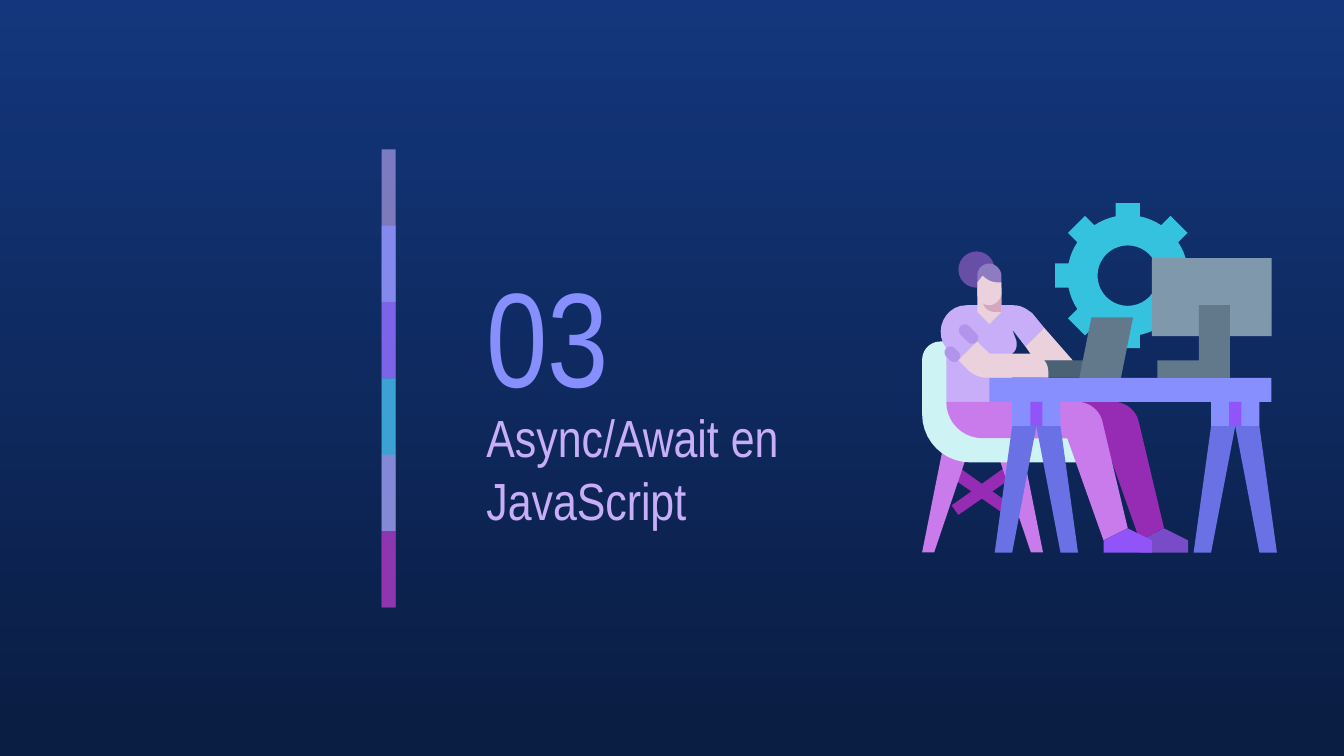
from dataclasses import dataclass
from math import cos, sin, pi

from lxml.etree import SubElement
from pptx import Presentation
from pptx.dml.color import RGBColor as Rgb
from pptx.enum.shapes import MSO_SHAPE as Kind
from pptx.enum.text import MSO_ANCHOR as Anchor, MSO_AUTO_SIZE as Fit, PP_ALIGN as Align
from pptx.oxml.ns import qn
from pptx.util import Pt


@dataclass(frozen=True)
class Theme:
    """Colours, font and type sizes of the deck."""
    top: str = "13367C"
    base: str = "0A1D42"
    font: str = "Arial Narrow"
    big: int = 72
    head: int = 28
    lilac: str = "C8AEF8"
    blue: str = "878FFF"
    indigo: str = "6971E5"
    violet: str = "9154F8"
    cyan: str = "35C2DF"
    pink: str = "CA7BEB"
    plum: str = "972CB4"
    grape: str = "794BC8"
    mauve: str = "B394EB"
    ice: str = "CEF3F5"
    skin: str = "EAD1DC"
    blush: str = "D5A6BD"
    hair: str = "8E7CC3"
    bun: str = "674EA7"
    slate: str = "62798C"
    steel: str = "8098AB"
    dark: str = "4B6275"


T = Theme()


def paint(shape, color, alpha=None):
    """Give a shape a flat fill without line or shadow."""
    shape.shadow.inherit = False
    shape.line.fill.background()
    shape.fill.solid()
    shape.fill.fore_color.rgb = Rgb.from_string(color)
    if alpha:
        tone = shape._element.spPr.find(qn("a:solidFill"))[0]
        SubElement(tone, qn("a:alpha")).set("val", str(alpha * 1000))
    return shape


def bend(start, curve, steps=10):
    """Return points along a cubic curve given as six numbers."""
    knots = [start, curve[:2], curve[2:4], curve[4:]]
    points = []
    for i in range(1, steps + 1):
        t = i / steps
        parts = ((1 - t) ** 3, 3 * t * (1 - t) ** 2, 3 * t * t * (1 - t), t ** 3)
        points.append(tuple(sum(w * k[a] for w, k in zip(parts, knots)) for a in (0, 1)))
    return points


def ring(x, y, radius, start, end, steps):
    """Return points along an arc around a centre."""
    turns = [start + (end - start) * i / steps for i in range(steps + 1)]
    return [(x + radius * cos(a), y + radius * sin(a)) for a in turns]


class Scene:
    """Draw flat parts on a grid within a box."""

    def __init__(self, shapes, left, top, unit):
        """Keep the box corner and the grid unit, in points."""
        self.shapes, self.left, self.top, self.unit = shapes, left, top, unit

    def spot(self, x, y):
        """Return the slide position of a grid point."""
        return Pt(self.left + x * self.unit), Pt(self.top + y * self.unit)

    def block(self, color, x, y, wide, high, kind=Kind.RECTANGLE):
        """Draw a preset shape."""
        size = Pt(wide * self.unit), Pt(high * self.unit)
        return paint(self.shapes.add_shape(kind, *self.spot(x, y), *size), color)

    def trace(self, color, *loops):
        """Draw closed loops whose parts are points or curves."""
        pen = None
        for loop in loops:
            points = [loop[0]]
            for part in loop[1:]:
                points += [part] if len(part) == 2 else bend(points[-1], part)
            spots = [self.spot(*p) for p in points]
            if pen:
                pen.move_to(*spots[0])
            else:
                pen = self.shapes.build_freeform(*spots[0], scale=1.0)
            pen.add_line_segments(spots[1:], close=True)
        paint(pen.convert_to_shape(), color)

    def pair(self, color, axis, *points):
        """Draw an outline and its mirror about an upright axis."""
        self.trace(color, points)
        self.trace(color, [(2 * axis - x, y) for x, y in points])

    def pill(self, color, x, y, wide):
        """Draw a tilted fold with round ends."""
        fold = self.block(color, x - wide / 2, y - 4.5, wide, 9, Kind.ROUNDED_RECTANGLE)
        fold.adjustments[0] = 0.5
        fold.rotation = 45


def gear(scene, x, y):
    """Draw an eight-tooth wheel with a round hole."""
    edge = []
    for i in range(8):
        turn = i * pi / 4
        for reach, side in ((44, -9), (54, -9), (54, 9), (44, 9)):
            edge.append((x + reach * cos(turn) - side * sin(turn),
                         y + reach * sin(turn) + side * cos(turn)))
        edge += ring(x, y, 45, turn + 0.2, turn + pi / 4 - 0.2, 4)
    scene.trace(T.cyan, edge, ring(x, y, 22.5, 0, 2 * pi, 40))


def chair(scene):
    """Draw the chair with its braces, legs and shell."""
    scene.pair(T.plum, 44.5, (25, 195), (67, 225), (62, 232), (20, 203))
    scene.pair(T.pink, 45, (16, 180), (0, 260), (9, 260), (36, 180))
    scene.trace(T.ice, [(14, 103), (6, 103, 0, 109, 0, 117), (0, 157),
                        (0, 177, 16, 193, 36, 193), (121, 193), (121, 171), (45, 171),
                        (33, 171, 23, 161, 23, 148), (23, 103)])


def leg(scene, x, cloth, shoe):
    """Draw a seated leg and its shoe."""
    scene.trace(cloth, [(x, 148), (x, 163, x + 12, 175, x + 27, 175), (x + 90, 175),
                        (x + 117, 251), (x + 135, 242), (x + 116, 162),
                        (x + 114, 154, x + 106, 148, x + 98, 148)])
    scene.trace(shoe, [(x + 135, 242), (x + 117, 251), (x + 117, 260),
                       (x + 153, 260), (x + 153, 251)])


def torso(scene):
    """Draw the shirt and the far arm."""
    scene.trace(T.lilac, [(33, 76), (17, 76, 8, 95, 18, 108), (18, 148), (67, 148),
                          (67, 112), (70, 110, 71, 106, 70, 102), (67, 94), (77, 107),
                          (91, 93), (82, 82), (78, 79, 74, 76, 68, 76)])
    scene.trace(T.skin, [(77, 107), (84, 117), (112, 117), (91, 93)])


def arm(scene):
    """Draw the folds, the neck and the near arm."""
    scene.pill(T.mauve, 22.5, 112.5, 13)
    scene.pill(T.mauve, 34.5, 97.5, 17)
    scene.trace(T.skin, [(41, 63), (41, 81), (50, 90), (59, 81), (59, 63)])
    scene.trace(T.skin, [(41, 103), (27, 117), (35, 125), (39, 128, 43, 130, 48, 130),
                         (94, 130), (94, 126), (94, 118, 88, 112, 81, 112), (50, 112)])


def head(scene):
    """Draw the chin shade, hair and face."""
    scene.trace(T.blush, [(45, 63), (45, 72), (45, 77, 49, 81, 54, 81), (59, 81), (59, 63)])
    scene.block(T.bun, 27, 36, 27, 27, Kind.OVAL)
    scene.trace(T.hair, [(50, 45), (45, 45, 41, 49, 41, 54), (41, 63), (59, 63),
                         (59, 54), (59, 49, 54, 45, 50, 45)])
    scene.trace(T.skin, [(45, 54), (41, 59), (41, 67), (41, 72, 45, 76, 50, 76),
                         (54, 76, 59, 72, 59, 67), (59, 59), (56, 59),
                         (52, 59, 48, 57, 45, 54)])


def screen(scene):
    """Draw the monitor and its stand."""
    scene.block(T.steel, 171, 41, 89, 58)
    scene.trace(T.slate, [(206, 76), (206, 117), (175, 117), (175, 130), (229, 130), (229, 76)])


def trestle(scene, x):
    """Draw a desk support."""
    scene.block(T.blue, x + 13, 148, 36, 18)
    scene.block(T.violet, x + 26.5, 148, 9, 18)
    scene.pair(T.indigo, x + 31, (x + 13, 166), (x, 260), (x + 13, 260), (x + 31, 166))


def worker(shapes, left, top):
    """Draw a person at a desk from back to front."""
    scene = Scene(shapes, left, top, 0.72)
    gear(scene, 153, 54)
    scene.block(T.dark, 90, 117, 31, 13)
    chair(scene)
    leg(scene, 45, T.plum, T.grape)
    torso(scene)
    scene.block(T.blue, 50, 130, 210, 18)
    arm(scene)
    scene.trace(T.slate, [(126, 85), (117, 130), (148, 130), (157, 85)])
    leg(scene, 18, T.pink, T.violet)
    screen(scene)
    for x in (202, 54):
        trestle(scene, x)
    head(scene)


def stripe(shapes, left, top, wide, step):
    """Stack clear bands, each but the last reaching under the next."""
    bands = [(T.lilac, 59), (T.blue, 74), (T.violet, 53),
             (T.cyan, 76), (T.pink, 56), (T.plum, 74)]
    for i, (color, alpha) in enumerate(bands):
        high = step if i == len(bands) - 1 else 2 * step
        box = Pt(left), Pt(top + i * step), Pt(wide), Pt(high)
        paint(shapes.add_shape(Kind.RECTANGLE, *box), color, alpha)


def write(shape, box, text, size, color):
    """Place a text shape and set its words."""
    shape.left, shape.top, shape.width, shape.height = map(Pt, box)
    frame = shape.text_frame
    frame.text = text
    frame.word_wrap = True
    frame.auto_size = Fit.NONE
    frame.vertical_anchor = Anchor.MIDDLE
    frame.margin_left = frame.margin_right = frame.margin_top = frame.margin_bottom = Pt(7.2)
    para = frame.paragraphs[0]
    para.alignment = Align.LEFT
    para.font.name, para.font.size = T.font, Pt(size)
    para.font.color.rgb = Rgb.from_string(color)


def section(deck, number, title):
    """Add a section slide."""
    slide = deck.slides.add_slide(deck.slide_layouts[5])
    fill = slide.background.fill
    fill.gradient()
    fill.gradient_angle = 270
    for stop, color in zip(fill.gradient_stops, (T.top, T.base)):
        stop.color.rgb = Rgb.from_string(color)
    shapes = slide.shapes
    stripe(shapes, 204.5, 80, 7.5, 40.9)
    label = shapes.add_textbox(0, 0, 0, 0)
    write(label, (253.4, 130.3, 126, 97.2), number, T.big, T.blue)
    write(shapes.title, (253.4, 226.8, 206.6, 48.2), title, T.head, T.lilac)
    worker(shapes, 494, 108.8)


def main():
    """Build and save the deck."""
    deck = Presentation()
    deck.slide_width, deck.slide_height = Pt(720), Pt(405)
    section(deck, "03", "Async/Await en JavaScript")
    deck.save("out.pptx")


if __name__ == "__main__":
    main()
